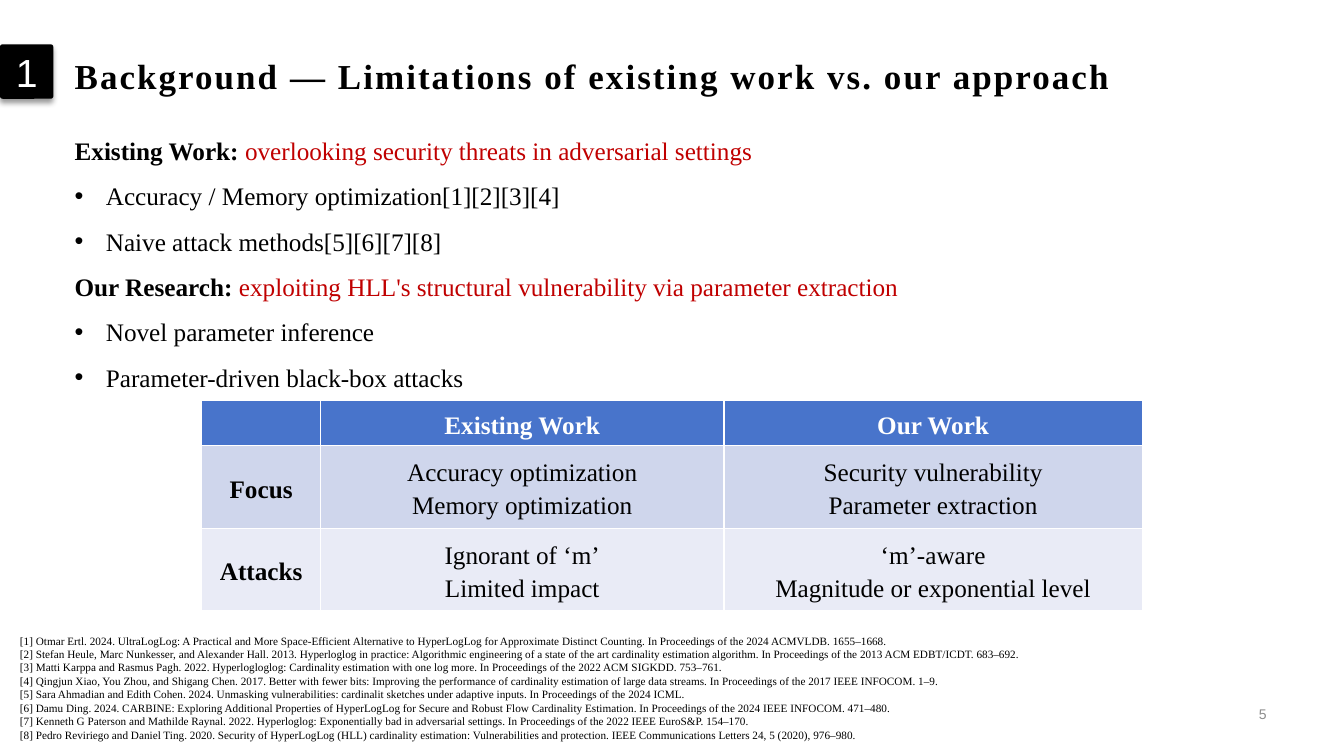
"""Build the slide comparing existing work with our approach."""
from dataclasses import dataclass

from lxml import etree
from pptx import Presentation
from pptx.dml.color import RGBColor
from pptx.enum.shapes import MSO_SHAPE
from pptx.enum.text import MSO_ANCHOR, MSO_AUTO_SIZE, PP_ALIGN
from pptx.oxml.ns import qn
from pptx.util import Emu, Pt

PX = 9144
SERIF, SANS = "Times New Roman", "Arial"
BLACK = RGBColor(0x00, 0x00, 0x00)
WHITE = RGBColor(0xFF, 0xFF, 0xFF)
RED = RGBColor(0xC0, 0x00, 0x00)
GRAY = RGBColor(0x8C, 0x8C, 0x8C)
HEADER_BLUE = RGBColor(0x48, 0x74, 0xCB)
BAND_DARK = RGBColor(0xCF, 0xD6, 0xEC)
BAND_LIGHT = RGBColor(0xE9, 0xEB, 0xF6)
LEFT, CENTER, RIGHT = PP_ALIGN.LEFT, PP_ALIGN.CENTER, PP_ALIGN.RIGHT
TOP, MIDDLE = MSO_ANCHOR.TOP, MSO_ANCHOR.MIDDLE
NO_FIT = MSO_AUTO_SIZE.NONE
ROUND_RECT = MSO_SHAPE.ROUNDED_RECTANGLE
BULLET_INDENT = 31


@dataclass(frozen=True)
class Box:
    """Position and size in px."""
    x: int
    y: int
    w: int
    h: int

    def emu(self) -> tuple[Emu, ...]:
        """Return the box in EMU."""
        return tuple(Emu(v * PX) for v in (self.x, self.y, self.w, self.h))


@dataclass(frozen=True)
class Section:
    """A heading with its claim and bullet points."""
    label: str
    claim: str
    points: tuple[str, ...]


@dataclass(frozen=True)
class Row:
    """A table row."""
    cells: tuple[str, ...]
    height: int
    fill: RGBColor
    color: RGBColor = BLACK


TITLE = "Background — Limitations of existing work vs. our approach"
SECTIONS = (
    Section("Existing Work: ", "overlooking security threats in adversarial settings",
            ("Accuracy / Memory optimization[1][2][3][4]", "Naive attack methods[5][6][7][8]")),
    Section("Our Research: ",
            "exploiting HLL's structural vulnerability via parameter extraction",
            ("Novel parameter inference", "Parameter-driven black-box attacks")),
)
COLUMNS = (118, 400, 415)
ROWS = (
    Row(("", "Existing Work", "Our Work"), 45, HEADER_BLUE, WHITE),
    Row(("Focus", "Accuracy optimization\nMemory optimization",
         "Security vulnerability\nParameter extraction"), 82, BAND_DARK),
    Row(("Attacks", "Ignorant of ‘m’\nLimited impact",
         "‘m’-aware\nMagnitude or exponential level"), 82, BAND_LIGHT),
)
REFERENCES = (
    "Otmar Ertl. 2024. UltraLogLog: A Practical and More Space-Efficient Alternative to HyperLogLog for Approximate Distinct Counting. In Proceedings of the 2024 ACMVLDB. 1655–1668.",
    "Stefan Heule, Marc Nunkesser, and Alexander Hall. 2013. Hyperloglog in practice: Algorithmic engineering of a state of the art cardinality estimation algorithm. In Proceedings of the 2013 ACM EDBT/ICDT. 683–692.",
    "Matti Karppa and Rasmus Pagh. 2022. Hyperlogloglog: Cardinality estimation with one log more. In Proceedings of the 2022 ACM SIGKDD. 753–761.",
    "Qingjun Xiao, You Zhou, and Shigang Chen. 2017. Better with fewer bits: Improving the performance of cardinality estimation of large data streams. In Proceedings of the 2017 IEEE INFOCOM. 1–9.",
    "Sara Ahmadian and Edith Cohen. 2024. Unmasking vulnerabilities: cardinalit sketches under adaptive inputs. In Proceedings of the 2024 ICML.",
    "Damu Ding. 2024. CARBINE: Exploring Additional Properties of HyperLogLog for Secure and Robust Flow Cardinality Estimation. In Proceedings of the 2024 IEEE INFOCOM. 471–480.",
    "Kenneth G Paterson and Mathilde Raynal. 2022. Hyperloglog: Exponentially bad in adversarial settings. In Proceedings of the 2022 IEEE EuroS&P. 154–170.",
    "Pedro Reviriego and Daniel Ting. 2020. Security of HyperLogLog (HLL) cardinality estimation: Vulnerabilities and protection. IEEE Communications Letters 24, 5 (2020), 976–980.",
)


def place(sp, box: Box) -> None:
    """Move a shape to a box."""
    sp.left, sp.top, sp.width, sp.height = box.emu()


def style_run(r, size: int, color: RGBColor, bold: bool = False, font: str = SERIF) -> None:
    """Set the font of a run."""
    r.font.name, r.font.size, r.font.bold = font, Pt(size), bold
    r.font.color.rgb = color


def style_text(tf, size: int, color: RGBColor, bold: bool = False, font: str = SERIF,
               align: PP_ALIGN = LEFT, spacing: float = 1.0, anchor: MSO_ANCHOR = TOP) -> None:
    """Format every paragraph and run of a text frame."""
    tf.word_wrap, tf.vertical_anchor = True, anchor
    for p in tf.paragraphs:
        p.alignment, p.line_spacing = align, spacing
        for r in p.runs:
            style_run(r, size, color, bold, font)


def add_text(s, box: Box, text: str, size: int, color: RGBColor, font: str = SERIF,
             align: PP_ALIGN = LEFT, anchor: MSO_ANCHOR = TOP) -> None:
    """Add a text box."""
    tf = s.shapes.add_textbox(*box.emu()).text_frame
    tf.text = text
    style_text(tf, size, color, font=font, align=align, anchor=anchor)


def set_bullet(p, bulleted: bool) -> None:
    """Turn the bullet of a paragraph on or off."""
    indent = BULLET_INDENT * PX if bulleted else 0
    pPr = p._p.get_or_add_pPr()
    pPr.set("marL", str(indent))
    pPr.set("indent", str(-indent))
    if bulleted:
        etree.SubElement(pPr, qn("a:buFont"), typeface=SANS)
        etree.SubElement(pPr, qn("a:buChar"), char="•")
    else:
        etree.SubElement(pPr, qn("a:buNone"))


def fill_title(sp) -> None:
    """Fill the title placeholder."""
    place(sp, Box(64, 37, 1102, 55))
    tf = sp.text_frame
    tf.text, tf.auto_size = TITLE, NO_FIT
    style_text(tf, 25, BLACK, bold=True, spacing=1.3)
    tf.paragraphs[0].runs[0].font._element.set("spc", "150")


def fill_body(sp) -> None:
    """Fill the body placeholder with the sections."""
    place(sp, Box(64, 114, 908, 283))
    tf = sp.text_frame
    tf.text = "\n".join(t for c in SECTIONS for t in (c.label, *c.points))
    tf.auto_size = NO_FIT
    style_text(tf, 18, BLACK, spacing=1.5)
    sections = {c.label: c for c in SECTIONS}
    for p in tf.paragraphs:
        p.space_before = Pt(0)
        section = sections.get(p.text)
        set_bullet(p, section is None)
        if section:
            p.runs[0].font.bold = True
            r = p.add_run()
            r.text = section.claim
            style_run(r, 18, RED)


def add_badge(s) -> None:
    """Add the section number with its soft shadow."""
    sp = s.shapes.add_shape(ROUND_RECT, *Box(0, 44, 53, 54).emu())
    sp.adjustments[0] = 0.05
    sp.fill.solid()
    sp.fill.fore_color.rgb = BLACK
    sp.line.fill.background()
    sp.shadow.inherit = False
    effects = sp._element.spPr.find(qn("a:effectLst"))
    shadow = etree.SubElement(effects, qn("a:outerShdw"), blurRad=str(Pt(4)),
                              dist=str(Pt(3)), dir="5400000", rotWithShape="0")
    color = etree.SubElement(shadow, qn("a:srgbClr"), val=str(BLACK))
    etree.SubElement(color, qn("a:alpha"), val="40000")
    sp.text_frame.text = "1"
    style_text(sp.text_frame, 28, WHITE, font=SANS, align=CENTER, anchor=MIDDLE)


def add_comparison(s) -> None:
    """Add the comparison table."""
    box = Box(200, 397, sum(COLUMNS), sum(row.height for row in ROWS))
    table = s.shapes.add_table(len(ROWS), len(COLUMNS), *box.emu()).table
    for j, width in enumerate(COLUMNS):
        table.columns[j].width = Emu(width * PX)
    for i, row in enumerate(ROWS):
        table.rows[i].height = Emu(row.height * PX)
        for j, text in enumerate(row.cells):
            cell = table.cell(i, j)
            cell.fill.solid()
            cell.fill.fore_color.rgb = row.fill
            cell.vertical_anchor = MIDDLE
            cell.text_frame.text = text
            style_text(cell.text_frame, 18, row.color, bold=i == 0 or j == 0,
                       align=CENTER, spacing=1.2, anchor=MIDDLE)


def main() -> None:
    """Build and save the presentation."""
    prs = Presentation()
    prs.slide_width, prs.slide_height = Emu(1333 * PX), Emu(750 * PX)
    s = prs.slides.add_slide(prs.slide_layouts[1])
    fill_title(s.shapes.title)
    fill_body(s.placeholders[1])
    add_badge(s)
    add_comparison(s)
    references = "\n".join(f"[{n}] {ref}" for n, ref in enumerate(REFERENCES, 1))
    add_text(s, Box(10, 624, 1333, 118), references, 8, BLACK)
    add_text(s, Box(971, 691, 295, 35), "5", 10, GRAY, SANS, RIGHT, MIDDLE)
    prs.save("out.pptx")


if __name__ == "__main__":
    main()
